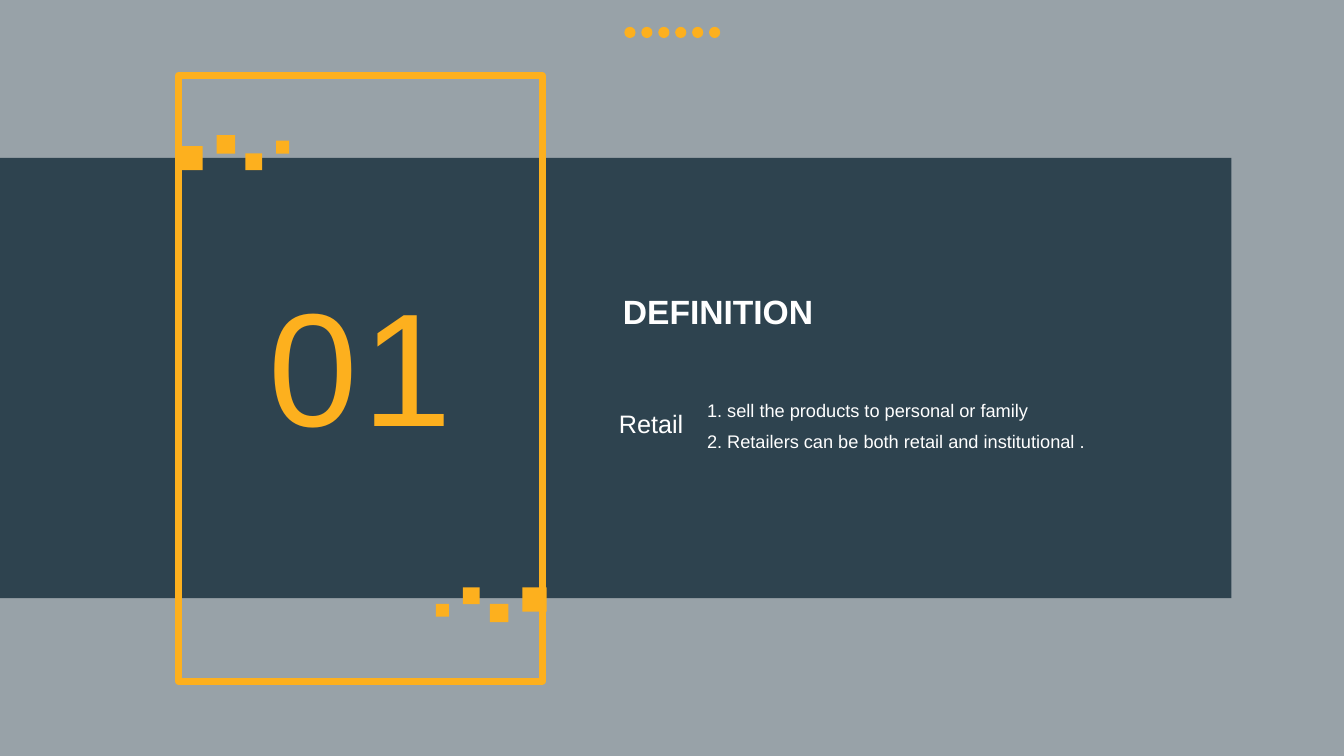
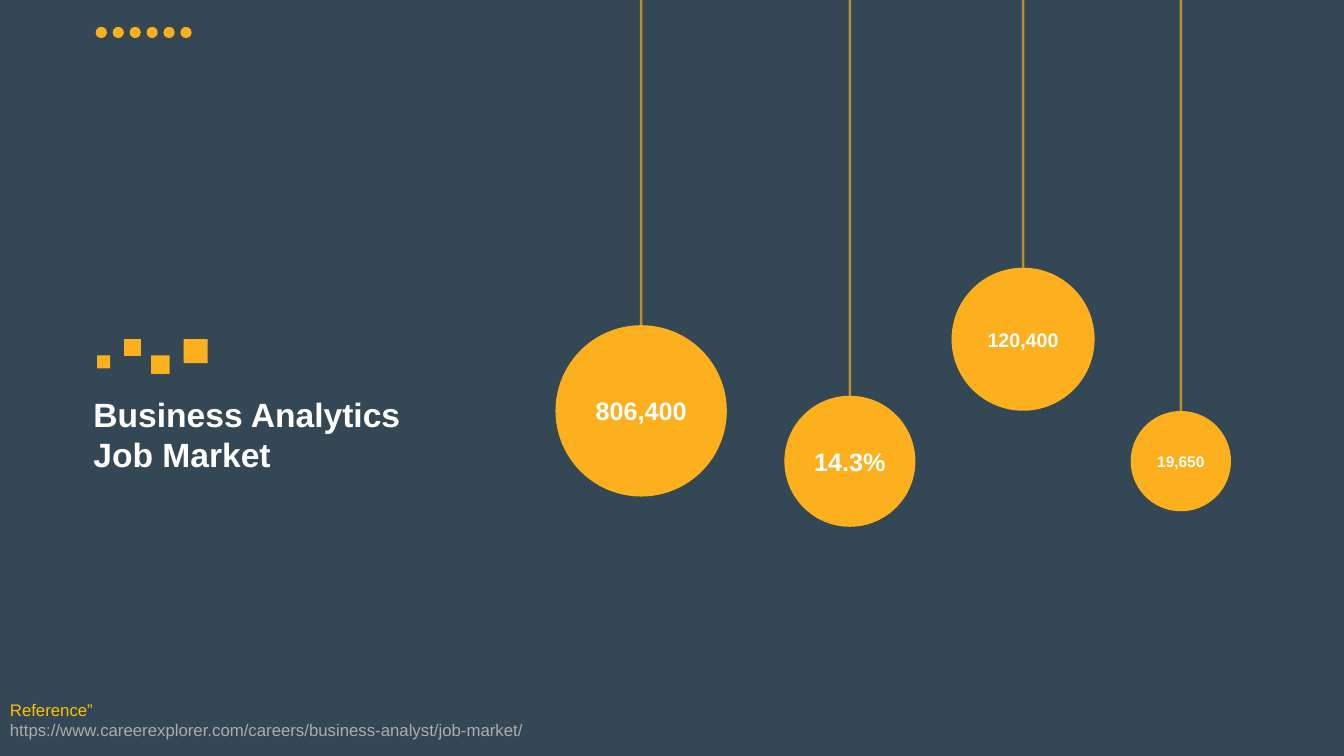
from lxml import etree
from pptx import Presentation
from pptx import util as u
from pptx.dml.color import RGBColor
from pptx.enum import shapes, text
from pptx.oxml import ns

Pt = u.Pt
FONT = "Arial"
COLORS = {
    "amber": "FDB01E",
    "navy": "293E4B",
    "slate": "324652",
    "white": "FFFFFF",
    "gold": "FFC000",
    "gray": "AFABAB",
}
RECTANGLE = shapes.MSO_SHAPE.RECTANGLE
OVAL = shapes.MSO_SHAPE.OVAL


def add_filled(slide, kind, left, top, width, height, color, opacity=100):
    shape = slide.shapes.add_shape(kind, Pt(left), Pt(top), Pt(width), Pt(height))
    shape.shadow.inherit = False
    shape.line.fill.background()
    shape.fill.solid()
    shape.fill.fore_color.rgb = RGBColor.from_string(COLORS[color])
    if opacity < 100:
        color_element = shape._element.spPr.find(".//" + ns.qn("a:srgbClr"))
        etree.SubElement(color_element, ns.qn("a:alpha"), val=str(opacity * 1000))
    return shape


def write(shape, content, size, colors=("white",), bold=False, spacing=None):
    frame = shape.text_frame
    frame.text = content
    for index, paragraph in enumerate(frame.paragraphs):
        paragraph.line_spacing = spacing
        font = paragraph.runs[0].font
        font.name, font.size, font.bold = FONT, Pt(size), bold
        color = colors[min(index, len(colors) - 1)]
        font.color.rgb = RGBColor.from_string(COLORS[color])


presentation = Presentation()
presentation.slide_width, presentation.slide_height = Pt(960), Pt(540)
blank = presentation.slide_layouts[6]
definition = presentation.slides.add_slide(blank)
market = presentation.slides.add_slide(blank)

# Backdrops and band
add_filled(definition, RECTANGLE, 0, 0, 960, 540, "slate", 50)
add_filled(definition, RECTANGLE, 0, 112.7, 879.5, 314.5, "navy", 95)
add_filled(market, RECTANGLE, 0, 0, 960, 540, "navy", 95)

# Row of six dots at the top of each slide
for slide, left in ((definition, 446), (market, 68.4)):
    for index in range(6):
        add_filled(slide, OVAL, left + index * 12.1, 19.2, 8, 8, "amber")

# Amber frame around the section number
frame_box = add_filled(definition, RECTANGLE, 127.5, 54, 260, 432.5, "amber")
frame_box.fill.background()
frame_box.line.color.rgb = RGBColor.from_string(COLORS["amber"])
frame_box.line.width = Pt(5)

# Clusters of four squares: x, y and size inside the cluster
SQUARES = ((0, 11.7, 9.3), (19.3, 0, 12), (38.6, 11.7, 13.2), (61.8, 0, 17.2))
CLUSTER_WIDTH, CLUSTER_HEIGHT = 79, 24.9
for slide, left, top, turned in (
    (definition, 311.4, 419.6, False),
    (definition, 127.6, 96.6, True),
    (market, 69.4, 242.2, False),
):
    for x, y, size in SQUARES:
        if turned:
            x, y = CLUSTER_WIDTH - x - size, CLUSTER_HEIGHT - y - size
        add_filled(slide, RECTANGLE, left + x, top + y, size, size, "amber")

# Text boxes: slide, place, text, size, colors, bold, line spacing
for slide, place, content, size, colors, bold, spacing in (
    (definition, (185, 186, 166, 147), "01", 115, ("amber",), False, None),
    (definition, (437.8, 204.5, 284, 36), "DEFINITION", 24, ("white",), True, None),
    (definition, (498, 275.5, 390, 70),
     "1. sell the products to personal or family\n"
     "2. Retailers can be both retail and institutional .", 13, ("white",), False, 1.4),
    (definition, (435, 288, 101, 29), "Retail", 18, ("white",), False, None),
    (market, (59.6, 277.5, 284, 65), "Business Analytics\nJob Market", 24, ("white",), True, None),
    (market, (0, 496, 480, 36),
     "Reference”\nhttps://www.careerexplorer.com/careers/business-analyst/job-market/",
     12, ("gold", "gray"), False, None),
):
    box = slide.shapes.add_textbox(*(Pt(value) for value in place))
    box.text_frame.word_wrap = True
    write(box, content, size, colors, bold, spacing)
    if content == "01":
        box.text_frame.paragraphs[0].runs[0].font._element.set("spc", "300")

# Hanging circles: center, top, diameter, figure, text size
for center, top, diameter, figure, size in (
    (458, 232.3, 122.4, "806,400", 18),
    (607.1, 282.7, 93.6, "14.3%", 18),
    (730.8, 191.2, 102.2, "120,400", 14),
    (843.5, 293.6, 71.6, "19,650", 11),
):
    circle = add_filled(market, OVAL, center - diameter / 2, top, diameter, diameter, "amber")
    write(circle, figure, size, bold=True)
    circle.text_frame.word_wrap = False
    circle.text_frame.vertical_anchor = text.MSO_ANCHOR.MIDDLE
    circle.text_frame.paragraphs[0].alignment = text.PP_ALIGN.CENTER

    cord = market.shapes.add_connector(
        shapes.MSO_CONNECTOR.STRAIGHT, Pt(center), 0, Pt(center), Pt(top))
    cord.end_connect(circle, 0)
    cord.line.width = Pt(1.75)
    cord.line.color.rgb = RGBColor.from_string(COLORS["amber"])
    properties = cord._element.spPr
    cord_color = properties.find(".//" + ns.qn("a:srgbClr"))
    etree.SubElement(cord_color, ns.qn("a:alpha"), val="68000")
    etree.SubElement(properties, ns.qn("a:effectLst"))

presentation.save("out.pptx")
